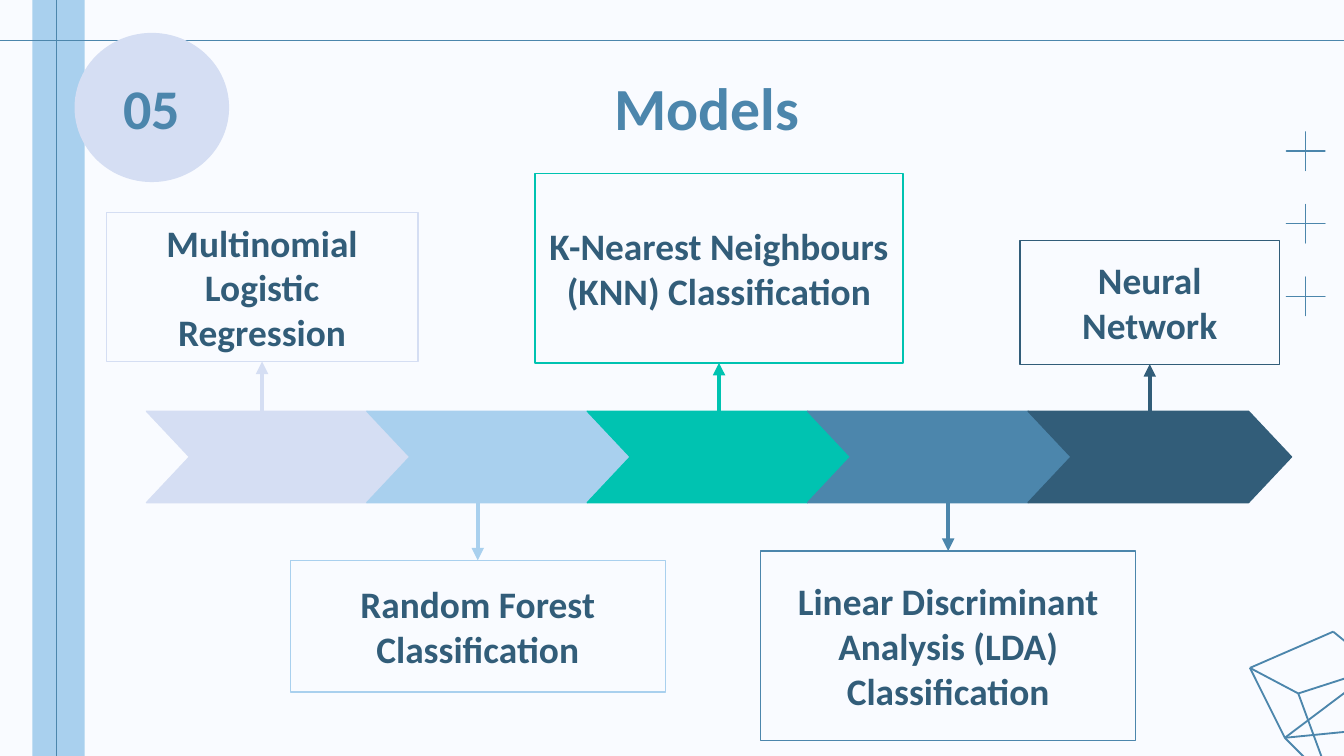
from dataclasses import dataclass

from lxml.etree import SubElement
from pptx import Presentation
from pptx.dml.color import RGBColor
from pptx.enum.shapes import MSO_CONNECTOR, MSO_SHAPE
from pptx.enum.text import MSO_ANCHOR, PP_ALIGN
from pptx.oxml.ns import qn
from pptx.util import Inches, Pt


@dataclass(frozen=True)
class Theme:
    """Colours, type sizes and line widths of the deck."""
    font: str = "Calibri"
    paper: str = "F9FBFF"
    lavender: str = "D5DEF3"
    sky: str = "A9D0EE"
    teal: str = "00C3B1"
    steel: str = "4C86AC"
    navy: str = "325D79"
    title_size: int = 32
    number_size: int = 30
    label_size: int = 20
    hairline: float = 0.75
    crystal: float = 1
    arrow: float = 2.25
    inset: float = 0.08


@dataclass(frozen=True)
class Box:
    """A rectangle in inches."""
    left: float
    top: float
    width: float
    height: float

    @property
    def bottom(self):
        """Return the lower edge."""
        return self.top + self.height

    @property
    def center(self):
        """Return the horizontal middle."""
        return self.left + self.width / 2

    def lengths(self):
        """Return the rectangle as slide lengths."""
        return [Inches(side) for side in (self.left, self.top, self.width, self.height)]


THEME = Theme()
PAGE = Box(0, 0, 10, 10 * 9 / 16)
MODELS = [
    ("Multinomial Logistic Regression", THEME.lavender, Box(0.79, 1.58, 2.32, 1.11)),
    ("Random Forest Classification", THEME.sky, Box(2.16, 4.17, 2.79, 0.98)),
    ("K-Nearest Neighbours (KNN) Classification", THEME.teal, Box(3.98, 1.29, 2.74, 1.41)),
    ("Linear Discriminant Analysis (LDA) Classification", THEME.steel, Box(5.66, 4.1, 2.79, 1.41)),
    ("Neural Network", THEME.navy, Box(7.59, 1.79, 1.93, 0.92)),
]


def add_figure(slide, kind, box, fill=None, line=None):
    """Add a flat preset shape with an optional fill and outline."""
    shape = slide.shapes.add_shape(kind, *box.lengths())
    shape.shadow.inherit = False
    if fill:
        shape.fill.solid()
        shape.fill.fore_color.rgb = RGBColor.from_string(fill)
    else:
        shape.fill.background()
    if line:
        shape.line.color.rgb = RGBColor.from_string(line)
        shape.line.width = Pt(THEME.hairline)
    else:
        shape.line.fill.background()
    return shape


def add_line(slide, start, end, color, width=THEME.hairline, arrow=False):
    """Add a straight line, with an arrowhead at its end if wanted."""
    ends = [Inches(length) for length in (*start, *end)]
    line = slide.shapes.add_connector(MSO_CONNECTOR.STRAIGHT, *ends)
    line.line.color.rgb = RGBColor.from_string(color)
    line.line.width = Pt(width)
    properties = line._element.spPr
    if arrow:
        SubElement(properties.find(qn("a:ln")), qn("a:tailEnd"), type="triangle")
    SubElement(properties, qn("a:effectLst"))


def set_text(shape, text, size, color):
    """Write bold centred text into a shape."""
    frame = shape.text_frame
    frame.text = text
    frame.word_wrap = True
    frame.vertical_anchor = MSO_ANCHOR.MIDDLE
    frame.margin_left = frame.margin_right = Inches(THEME.inset)
    frame.margin_top = frame.margin_bottom = Inches(THEME.inset)
    para = frame.paragraphs[0]
    para.alignment = PP_ALIGN.CENTER
    for span in para.runs:
        span.font.name = THEME.font
        span.font.size = Pt(size)
        span.font.bold = True
        span.font.color.rgb = RGBColor.from_string(color)


def add_frame(slide, box):
    """Draw the side band and the rules along the page edges."""
    add_figure(slide, MSO_SHAPE.RECTANGLE, Box(box.left + 0.24, box.top, 0.39, box.height), THEME.sky)
    rule_x, rule_y = box.left + 0.42, box.top + 0.3
    add_line(slide, (rule_x, box.top), (rule_x, box.bottom), THEME.steel)
    add_line(slide, (box.left, rule_y), (box.left + box.width, rule_y), THEME.steel)


def add_crystal(slide, box):
    """Draw the wireframe crystal in the page corner."""
    west, north, inner = (0, 0.27), (0.62, 0), (0.36, 0.46)
    south, base, east, far = (0.26, 0.79), (0.61, 1.14), (0.95, 0.27), (1.07, 0.71)
    edges = [(west, north), (west, inner), (west, south), (north, east), (inner, east),
             (inner, base), (south, east), (south, far), (south, base)]
    for edge in edges:
        start, end = [(box.left + x, box.top + y) for x, y in edge]
        add_line(slide, start, end, THEME.steel, THEME.crystal)


def add_crosses(slide, box, count=3):
    """Stack thin crosses evenly down the box."""
    size = box.width
    step = (box.height - size) / (count - 1)
    for index in range(count):
        cell = Box(box.left, box.top + index * step, size, size)
        cross = add_figure(slide, MSO_SHAPE.MATH_PLUS, cell, line=THEME.steel)
        cross.adjustments[0] = 0


def add_heading(slide, title_box, number_box):
    """Place the slide title and the section number in its disc."""
    title = slide.shapes.title
    title.left, title.top, title.width, title.height = title_box.lengths()
    set_text(title, "Models", THEME.title_size, THEME.steel)
    disc = add_figure(slide, MSO_SHAPE.OVAL, number_box, THEME.lavender, THEME.lavender)
    set_text(disc, "05", THEME.number_size, THEME.steel)


def add_chevrons(slide, box, colors, point=0.32):
    """Fill the box with interlocking chevrons."""
    step = (box.width - point) / len(colors)
    for index, color in enumerate(colors):
        cell = Box(box.left + index * step, box.top, step + point, box.height)
        chevron = add_figure(slide, MSO_SHAPE.CHEVRON, cell, color, color)
        chevron.adjustments[0] = point / box.height


def add_callout(slide, box, band, text, color):
    """Draw a labelled box and the arrow that reaches it from the band."""
    label = add_figure(slide, MSO_SHAPE.RECTANGLE, box, line=color)
    set_text(label, text, THEME.label_size, THEME.navy)
    start, end = (band.top, box.bottom) if box.top < band.top else (band.bottom, box.top)
    add_line(slide, (box.center, start), (box.center, end), color, THEME.arrow, arrow=True)


def add_models_slide(deck):
    """Build the slide that lists the models."""
    slide = deck.slides.add_slide(deck.slide_layouts[5])
    slide.background.fill.solid()
    slide.background.fill.fore_color.rgb = RGBColor.from_string(THEME.paper)
    add_frame(slide, PAGE)
    add_crystal(slide, Box(9.3, 4.7, 1.07, 1.14))
    add_crosses(slide, Box(9.52, 0.93, 0.39, 1.47))
    add_heading(slide, Box(1.31, 0.41, 7.9, 0.76), Box(0.56, 0.25, 1.14, 1.1))
    band = Box(1.09, 3.06, 8.52, 0.68)
    add_chevrons(slide, band, [color for _, color, _ in MODELS])
    for text, color, box in MODELS:
        add_callout(slide, box, band, text, color)


def main():
    """Create and save the deck."""
    deck = Presentation()
    deck.slide_width, deck.slide_height = Inches(PAGE.width), Inches(PAGE.height)
    add_models_slide(deck)
    deck.save("out.pptx")


if __name__ == "__main__":
    main()
